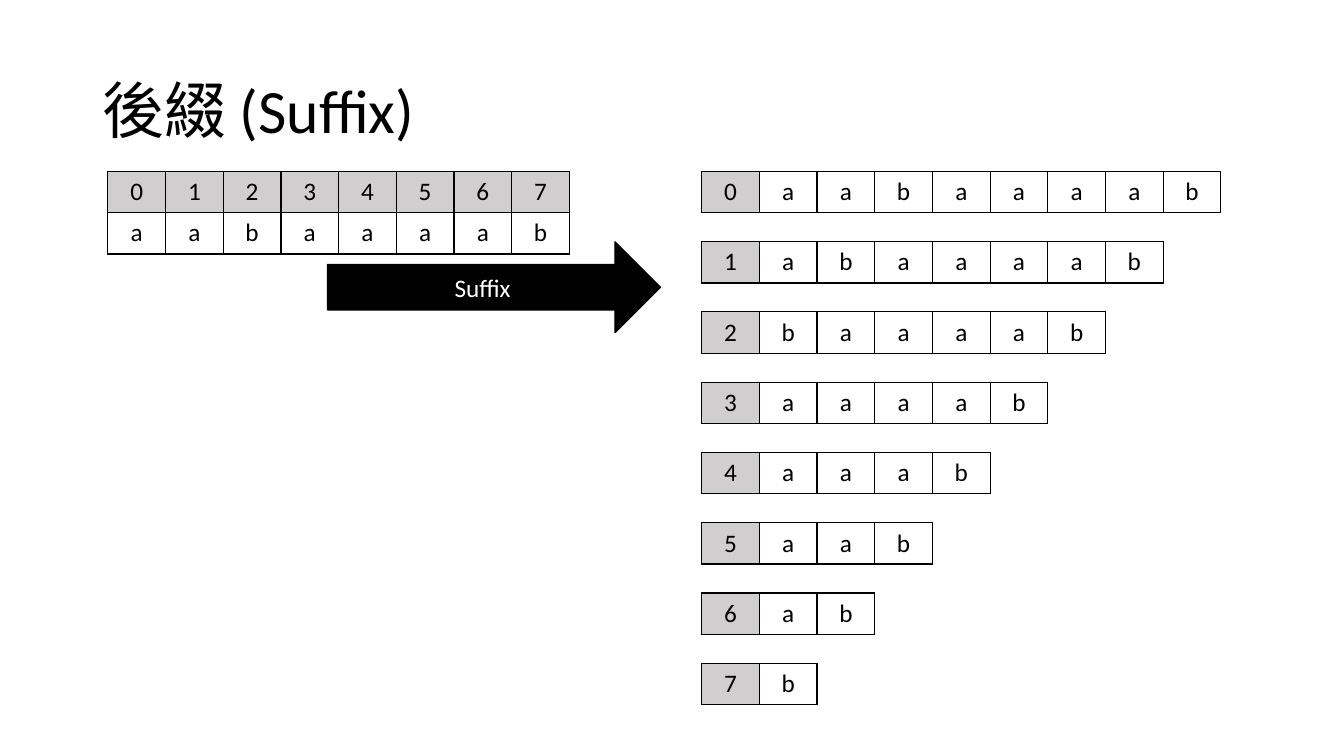
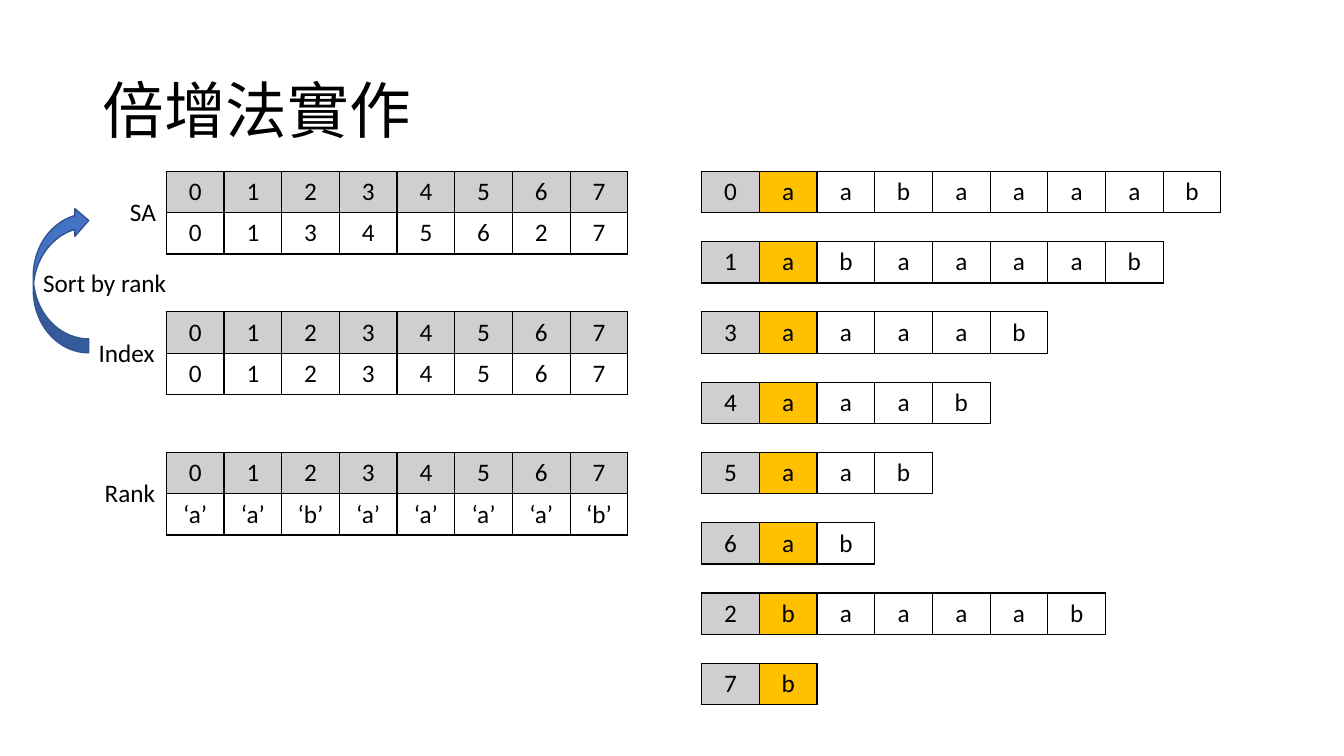
from lxml.etree import SubElement
from pptx import Presentation
from pptx.dml.color import RGBColor
from pptx.enum.shapes import MSO_SHAPE
from pptx.enum.text import MSO_ANCHOR, MSO_AUTO_SIZE, PP_ALIGN
from pptx.oxml import parse_xml
from pptx.oxml.ns import nsdecls
from pptx.util import Inches, Pt

BLACK = RGBColor(0x00, 0x00, 0x00)
WHITE = RGBColor(0xFF, 0xFF, 0xFF)
GRAY = RGBColor(0xD0, 0xCE, 0xCE)
GOLD = RGBColor(0xFF, 0xC0, 0x00)
BLUE = RGBColor(0x44, 0x72, 0xC4)
NAVY = RGBColor(0x32, 0x54, 0x91)
FONT = "Calibri"

WORD = "aabaaaab"
SPOTS = range(len(WORD))
RANKED = sorted(SPOTS, key=lambda i: WORD[i])

CELL = Inches(5.15) // 9
ROW = Inches(0.41)
TOP = Inches(1.7)
STEP = Inches(4.88) // 7
RIGHT = Inches(6.96)
LEFT = Inches(1.65)


def write(frame, text, size=18, color=BLACK, align=PP_ALIGN.CENTER):
    frame.text = text
    line = frame.paragraphs[0]
    line.alignment = align
    for run in line.runs:
        run.font.name = FONT
        run.font.size = Pt(size)
        run.font.bold = False
        run.font.color.rgb = color


def add_grid(slide, left, top, rows, fills):
    """Add a bordered table; fills maps (row, column) to a cell colour."""
    wide = len(rows[0])
    table = slide.shapes.add_table(
        len(rows), wide, left, top, CELL * wide, ROW * len(rows)).table
    table.first_row = table.horz_banding = False
    for col in table.columns:
        col.width = CELL
    for r, row in enumerate(rows):
        table.rows[r].height = ROW
        for c, text in enumerate(row):
            cell = table.cell(r, c)
            cell.vertical_anchor = MSO_ANCHOR.MIDDLE
            write(cell.text_frame, str(text))
            props = cell._tc.get_or_add_tcPr()
            for side in ("lnL", "lnR", "lnT", "lnB"):
                props.append(parse_xml(
                    f'<a:{side} {nsdecls("a")} w="{Pt(1)}"><a:solidFill>'
                    f'<a:srgbClr val="{BLACK}"/></a:solidFill></a:{side}>'))
            if (r, c) in fills:
                cell.fill.solid()
                cell.fill.fore_color.rgb = fills[r, c]
            else:
                cell.fill.background()


deck = Presentation()
deck.slide_width = Inches(13.33)
deck.slide_height = Inches(7.5)
HEAD = {(0, c): GRAY for c in SPOTS}

# Both slides: title and the list of suffixes
pages = []
for title, order, fills in (
    ("後綴 (Suffix)", SPOTS, {(0, 0): GRAY}),
    ("倍增法實作", RANKED, {(0, 0): GRAY, (0, 1): GOLD}),
):
    slide = deck.slides.add_slide(deck.slide_layouts[6])
    pages.append(slide)
    box = slide.shapes.add_textbox(
        Inches(0.92), Inches(0.4), Inches(11.5), Inches(1.45))
    frame = box.text_frame
    frame.word_wrap = True
    frame.vertical_anchor = MSO_ANCHOR.MIDDLE
    write(frame, title, size=44, align=PP_ALIGN.LEFT)
    frame.paragraphs[0].line_spacing = 0.9
    for n, start in enumerate(order):
        add_grid(slide, RIGHT, TOP + n * STEP, [[start, *WORD[start:]]], fills)

first, second = pages

# Slide 1: the word and its arrow
add_grid(first, Inches(1.07), TOP, [SPOTS, WORD], HEAD)
arrow = first.shapes.add_shape(
    MSO_SHAPE.RIGHT_ARROW, Inches(3.25), Inches(2.4), Inches(3.3), Inches(0.9))
arrow.text_frame.vertical_anchor = MSO_ANCHOR.MIDDLE
write(arrow.text_frame, "Suffix", color=WHITE)

# Slide 2: the three arrays, their labels and the sorting arrow
marks = [f"‘{letter}’" for letter in WORD]
for n, values in enumerate((RANKED, SPOTS, marks)):
    add_grid(second, LEFT, TOP + 2 * n * STEP, [SPOTS, values], HEAD)

curve = second.shapes.add_shape(
    MSO_SHAPE.CURVED_RIGHT_ARROW,
    Inches(0.33), Inches(2.05), Inches(0.55), Inches(1.45))
curve.element.spPr.xfrm.set("flipV", "1")

for text, left, top, width in (
    ("SA", 1.19, 1.9, 0.46),
    ("Index", 0.88, 3.3, 0.76),
    ("Rank", 0.94, 4.69, 0.71),
    ("Sort by rank", 0.33, 2.6, 1.43),
):
    label = second.shapes.add_textbox(
        Inches(left), Inches(top), Inches(width), Inches(0.4))
    label.text_frame.word_wrap = False
    label.text_frame.auto_size = MSO_AUTO_SIZE.SHAPE_TO_FIT_TEXT
    write(label.text_frame, text, align=PP_ALIGN.LEFT)

for shape, fill, edge in ((arrow, BLACK, BLACK), (curve, BLUE, NAVY)):
    shape.shadow.inherit = False
    shape.fill.solid()
    shape.fill.fore_color.rgb = fill
    shape.line.color.rgb = edge
    shape.line.width = Pt(1)

deck.save("out.pptx")
